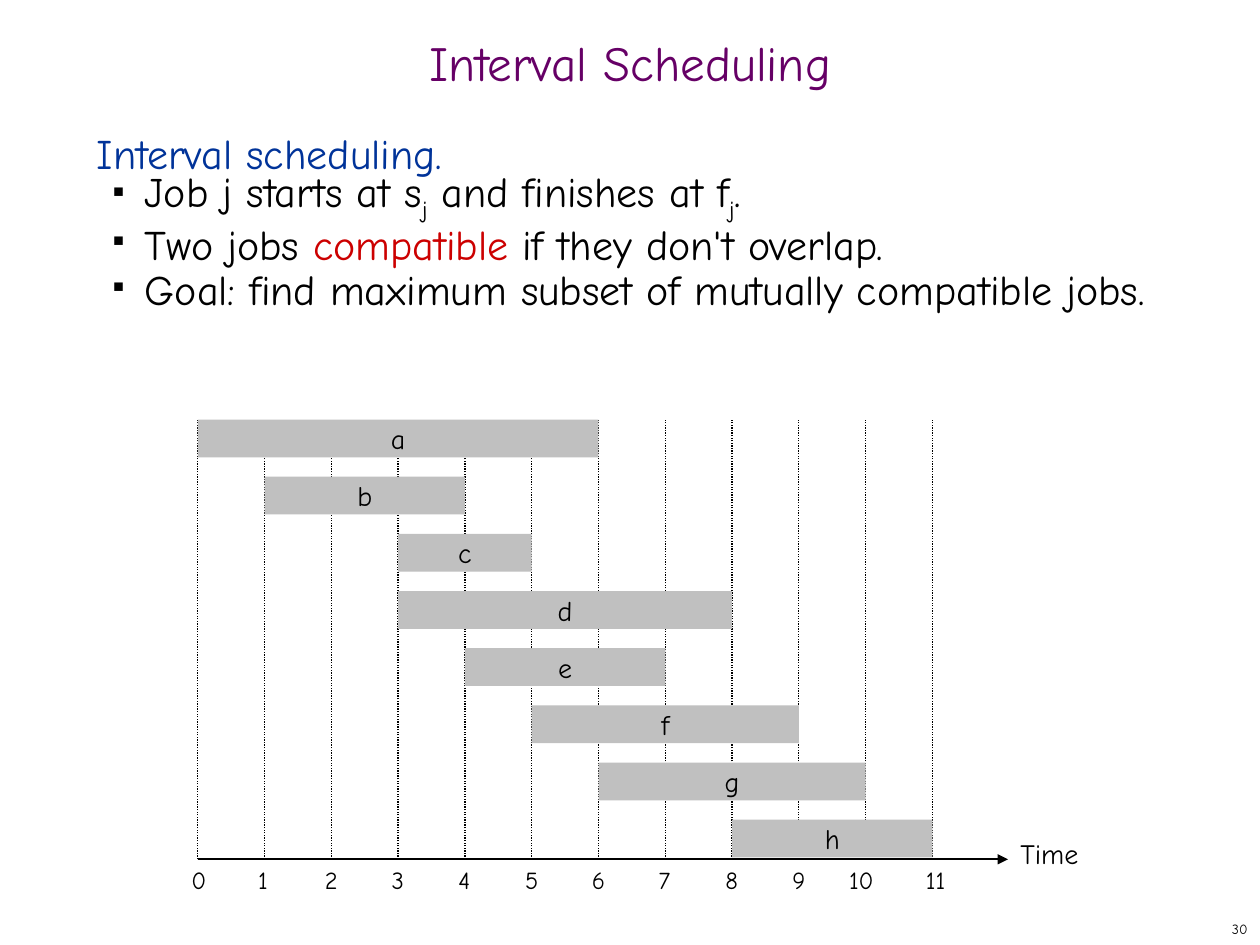
from lxml import etree
from pptx import Presentation
from pptx import util as u
from pptx.dml.color import RGBColor
from pptx.enum import dml, shapes, text
from pptx.oxml.ns import qn

WIDTH, HEIGHT = u.Inches(10), u.Inches(7.5)
FONT = "Comic Neue"
COLORS = {"black": "000000", "title": "660066", "heading": "003399",
          "accent": "CC0000", "bar": "C0C0C0"}

# Timeline grid, in percent of the slide's width (columns) and height (rows)
START, COLUMN = 15.7, 5.3
TOP, ROW, BAR_HEIGHT, AXIS = 44.4, 6.05, 4, 90.93
AXIS_END = 80
LAST_TIME = 11
LABEL_SHIFT = {10: -0.8}
JOBS = [("a", 0, 6), ("b", 1, 4), ("c", 3, 5), ("d", 3, 8),
        ("e", 4, 7), ("f", 5, 9), ("g", 6, 10), ("h", 8, 11)]

SUBSCRIPT = "-25000"
# Each statement is a list of runs: words, colour, baseline
STATEMENTS = [
    [("Job j starts at s", "black", None), ("j", "black", SUBSCRIPT),
     (" and finishes at f", "black", None), ("j", "black", SUBSCRIPT),
     (".", "black", None)],
    [("Two jobs ", "black", None), ("compatible ", "accent", None),
     ("if they don't overlap.", "black", None)],
    [("Goal: find maximum subset of mutually compatible jobs.", "black", None)],
]


def across(percent):
    return round(WIDTH * percent / 100)


def down(percent):
    return round(HEIGHT * percent / 100)


def time_x(time):
    return START + COLUMN * time


def color(name):
    return RGBColor.from_string(COLORS[name])


def add_run(paragraph, words, size, ink="black", baseline=None):
    run = paragraph.add_run()
    run.text = words
    run.font.size = u.Pt(size)
    run.font.name = FONT
    run.font.color.rgb = color(ink)
    if baseline:
        run._r.get_or_add_rPr().set("baseline", baseline)


def add_text_box(slide, left, top, width, height, anchor=text.MSO_ANCHOR.TOP):
    """Place an empty box, in percent of the slide, and return its text frame."""
    box = slide.shapes.add_textbox(across(left), down(top), across(width), down(height))
    frame = box.text_frame
    frame.word_wrap = True
    frame.vertical_anchor = anchor
    return frame


def add_label(slide, words, size, area, ink="black", align=text.PP_ALIGN.LEFT,
              anchor=text.MSO_ANCHOR.TOP, spacing=None):
    paragraph = add_text_box(slide, *area, anchor).paragraphs[0]
    paragraph.alignment = align
    paragraph.line_spacing = spacing
    add_run(paragraph, words, size, ink)


def add_bullet(paragraph):
    properties = paragraph._p.get_or_add_pPr()
    properties.set("marL", str(u.Inches(0.38)))
    properties.set("indent", str(u.Inches(-0.25)))
    bullet_color = etree.SubElement(properties, qn("a:buClr"))
    etree.SubElement(bullet_color, qn("a:srgbClr"), val=COLORS["black"])
    etree.SubElement(properties, qn("a:buSzPct"), val="35000")
    etree.SubElement(properties, qn("a:buChar"), char="■")


def add_definition(slide):
    frame = add_text_box(slide, 6.7, 13.33, 85.8, 78.93)
    heading = frame.paragraphs[0]
    heading.line_spacing = u.Pt(26)
    add_run(heading, "Interval scheduling.", 24, "heading")
    for statement in STATEMENTS:
        paragraph = frame.add_paragraph()
        add_bullet(paragraph)
        paragraph.line_spacing = u.Pt(26)
        for words, ink, baseline in statement:
            add_run(paragraph, words, 24, ink, baseline)


def add_line(slide, x1, y1, x2, y2, weight):
    line = slide.shapes.add_connector(shapes.MSO_CONNECTOR.STRAIGHT,
                                      across(x1), down(y1), across(x2), down(y2))
    line.line.color.rgb = color("black")
    line.line.width = u.Pt(weight)
    etree.SubElement(line._element.spPr, qn("a:effectLst"))
    return line


def add_time_axis(slide):
    axis = add_line(slide, START, AXIS, AXIS_END, AXIS, 1.25)
    etree.SubElement(axis.line._get_or_add_ln(), qn("a:tailEnd"), type="triangle")
    add_label(slide, "Time", 16, (AXIS_END, 87.87, 8.3, 4.93))
    for time in range(LAST_TIME + 1):
        x = time_x(time)
        tick = add_line(slide, x, AXIS, x, TOP, 0.75)
        tick.line.dash_style = dml.MSO_LINE.ROUND_DOT
        left = x - 1.5 + LABEL_SHIFT.get(time, 0)
        add_label(slide, str(time), 14, (left, AXIS, 4.6, 4.4))


def add_job(slide, row, name, start, finish):
    bar = slide.shapes.add_shape(
        shapes.MSO_SHAPE.RECTANGLE, across(time_x(start)), down(TOP + ROW * row),
        across(COLUMN * (finish - start)), down(BAR_HEIGHT))
    bar.shadow.inherit = False
    bar.fill.solid()
    bar.fill.fore_color.rgb = color("bar")
    bar.line.fill.background()
    frame = bar.text_frame
    frame.word_wrap = False
    frame.vertical_anchor = text.MSO_ANCHOR.MIDDLE
    paragraph = frame.paragraphs[0]
    paragraph.alignment = text.PP_ALIGN.CENTER
    add_run(paragraph, name, 16)


def main():
    deck = Presentation()
    deck.slide_width, deck.slide_height = WIDTH, HEIGHT
    slide = deck.slides.add_slide(deck.slide_layouts[6])
    add_label(slide, "30", 8, (79.2, 96.67, 20.8, 3.33),
              align=text.PP_ALIGN.RIGHT, anchor=text.MSO_ANCHOR.MIDDLE)
    add_label(slide, "Interval Scheduling", 28, (0, 2.27, 100, 10), "title",
              text.PP_ALIGN.CENTER, text.MSO_ANCHOR.MIDDLE, spacing=0.7)
    add_definition(slide)
    add_time_axis(slide)
    for row, job in enumerate(JOBS):
        add_job(slide, row, *job)
    deck.save("out.pptx")


if __name__ == "__main__":
    main()
